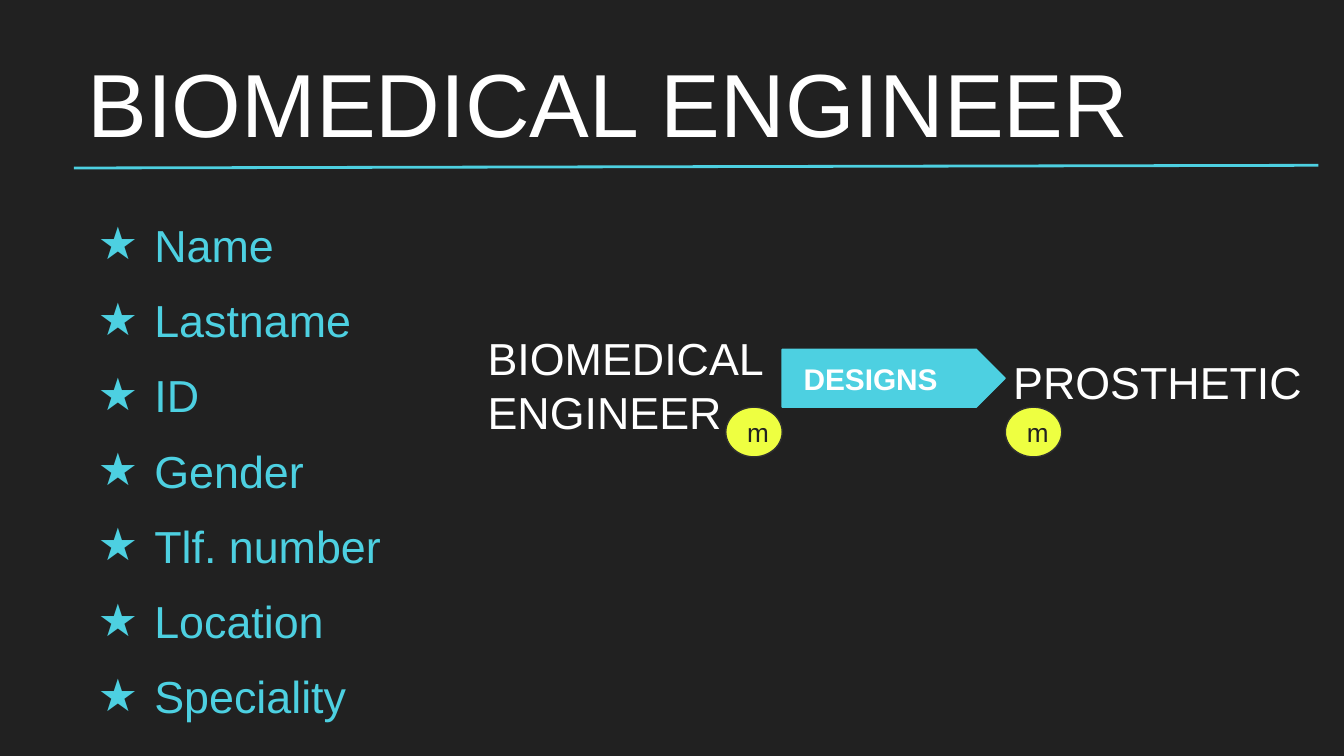
from dataclasses import dataclass

import pptx
import pptx.dml.color
import pptx.enum.shapes
import pptx.enum.text
import pptx.oxml
import pptx.oxml.ns
import pptx.util

RGBColor = pptx.dml.color.RGBColor
Preset = pptx.enum.shapes.MSO_SHAPE
Anchor = pptx.enum.text.MSO_ANCHOR

DARK = RGBColor(0x21, 0x21, 0x21)
OUTLINE = RGBColor(0x30, 0x30, 0x30)
WHITE = RGBColor(0xFF, 0xFF, 0xFF)
CYAN = RGBColor(0x4D, 0xD0, 0xE1)
YELLOW = RGBColor(0xEE, 0xFF, 0x41)

FONT = "Arial"
CELL = pptx.util.Inches(0.1)  # the slide is a grid of 100 columns
COLUMNS, ROWS = 100, 56.25
INSET = pptx.util.Inches(0.1)
FIELDS = ["Name", "Lastname", "ID", "Gender", "Tlf. number", "Location", "Speciality"]


@dataclass(frozen=True)
class Area:
    column: float
    row: float
    columns: float
    rows: float

    def lengths(self) -> list[int]:
        return [cells(n) for n in (self.column, self.row, self.columns, self.rows)]


@dataclass(frozen=True)
class Style:
    size: float
    color: RGBColor
    bold: bool = False


@dataclass(frozen=True)
class Concept:
    area: Area
    text: str


@dataclass(frozen=True)
class Badge:
    area: Area
    text: str
    preset: Preset
    fill: RGBColor
    line: RGBColor
    style: Style


def cells(count: float) -> int:
    return round(count * CELL)


def prepare_frame(frame, anchor: Anchor) -> None:
    frame.word_wrap = True
    frame.auto_size = pptx.enum.text.MSO_AUTO_SIZE.NONE
    frame.vertical_anchor = anchor
    frame.margin_left = frame.margin_right = INSET
    frame.margin_top = frame.margin_bottom = INSET


def add_run(paragraph, text: str, style: Style) -> None:
    paragraph.alignment = pptx.enum.text.PP_ALIGN.LEFT
    run = paragraph.add_run()
    run.text = text
    run.font.name = FONT
    run.font.size = pptx.util.Pt(style.size)
    run.font.bold = style.bold
    run.font.color.rgb = style.color


def add_star(paragraph) -> None:
    properties = paragraph._p.get_or_add_pPr()
    properties.set("marL", str(pptx.util.Inches(0.5)))
    properties.set("indent", str(pptx.util.Inches(-0.42)))
    namespace = pptx.oxml.ns.nsdecls("a")
    for xml in (
        f'<a:buClr {namespace}><a:srgbClr val="{CYAN}"/></a:buClr>',
        f'<a:buFont {namespace} typeface="{FONT}"/>',
        f'<a:buChar {namespace} char="★"/>',
    ):
        properties.append(pptx.oxml.parse_xml(xml))


def draw_title(slide, area: Area, text: str) -> None:
    title = slide.shapes.title
    title.left, title.top, title.width, title.height = area.lengths()
    prepare_frame(title.text_frame, Anchor.TOP)
    heading = title.text_frame.paragraphs[0]
    heading.line_spacing = 1.0
    add_run(heading, text, Style(48, WHITE))


def draw_fields(slide, area: Area, fields: list[str]) -> None:
    frame = slide.shapes.add_textbox(*area.lengths()).text_frame
    prepare_frame(frame, Anchor.TOP)
    for index, field in enumerate(fields):
        paragraph = frame.add_paragraph() if index else frame.paragraphs[0]
        add_star(paragraph)
        paragraph.line_spacing = 1.4
        add_run(paragraph, field, Style(24, CYAN))


def draw_concept(slide, concept: Concept) -> None:
    frame = slide.shapes.add_textbox(*concept.area.lengths()).text_frame
    prepare_frame(frame, Anchor.TOP)
    add_run(frame.paragraphs[0], concept.text, Style(24, WHITE))


def draw_badge(slide, badge: Badge) -> None:
    shape = slide.shapes.add_shape(badge.preset, *badge.area.lengths())
    shape.shadow.inherit = False
    shape.fill.solid()
    shape.fill.fore_color.rgb = badge.fill
    shape.line.color.rgb = badge.line
    shape.line.width = pptx.util.Pt(0.75)
    prepare_frame(shape.text_frame, Anchor.MIDDLE)
    add_run(shape.text_frame.paragraphs[0], badge.text, badge.style)


def draw_rule(slide, start: tuple[float, float], end: tuple[float, float]) -> None:
    rule = slide.shapes.add_connector(
        pptx.enum.shapes.MSO_CONNECTOR.STRAIGHT, *map(cells, start + end))
    rule.line.color.rgb = CYAN
    rule.line.width = pptx.util.Pt(1.5)
    rule._element.spPr.append(
        pptx.oxml.parse_xml(f'<a:effectLst {pptx.oxml.ns.nsdecls("a")}/>'))


def main() -> None:
    deck = pptx.Presentation()
    deck.slide_width, deck.slide_height = cells(COLUMNS), cells(ROWS)
    slide = deck.slides.add_slide(deck.slide_layouts.get_by_name("Title Only"))
    slide.background.fill.solid()
    slide.background.fill.fore_color.rgb = DARK

    # Heading and the attributes of the entity
    draw_title(slide, Area(5.5, 2.6, 89, 11.7), "BIOMEDICAL ENGINEER")
    draw_fields(slide, Area(5.5, 13.6, 36.8, 33.3), FIELDS)

    # Relation between the two entities
    relation = Area(58.2, 26, 16.6, 4.3)
    draw_badge(slide, Badge(relation, " DESIGNS", Preset.PENTAGON, CYAN, CYAN,
                            Style(16, WHITE, bold=True)))
    for concept in (
        Concept(Area(35.3, 23.6, 22.9, 10.1), "BIOMEDICAL ENGINEER"),
        Concept(Area(74.4, 25.4, 24.5, 5.4), "PROSTHETIC"),
    ):
        draw_concept(slide, concept)

    # Cardinalities touch the lower corners of the relation
    width, height = 4.2, 3.7
    below = relation.row + relation.rows
    for column in (relation.column - width, relation.column + relation.columns):
        draw_badge(slide, Badge(Area(column, below, width, height), "m", Preset.OVAL,
                                YELLOW, OUTLINE, Style(14, DARK)))

    # Line under the heading
    draw_rule(slide, (5.5, 12.5), (98.1, 12.3))
    deck.save("out.pptx")


if __name__ == "__main__":
    main()
